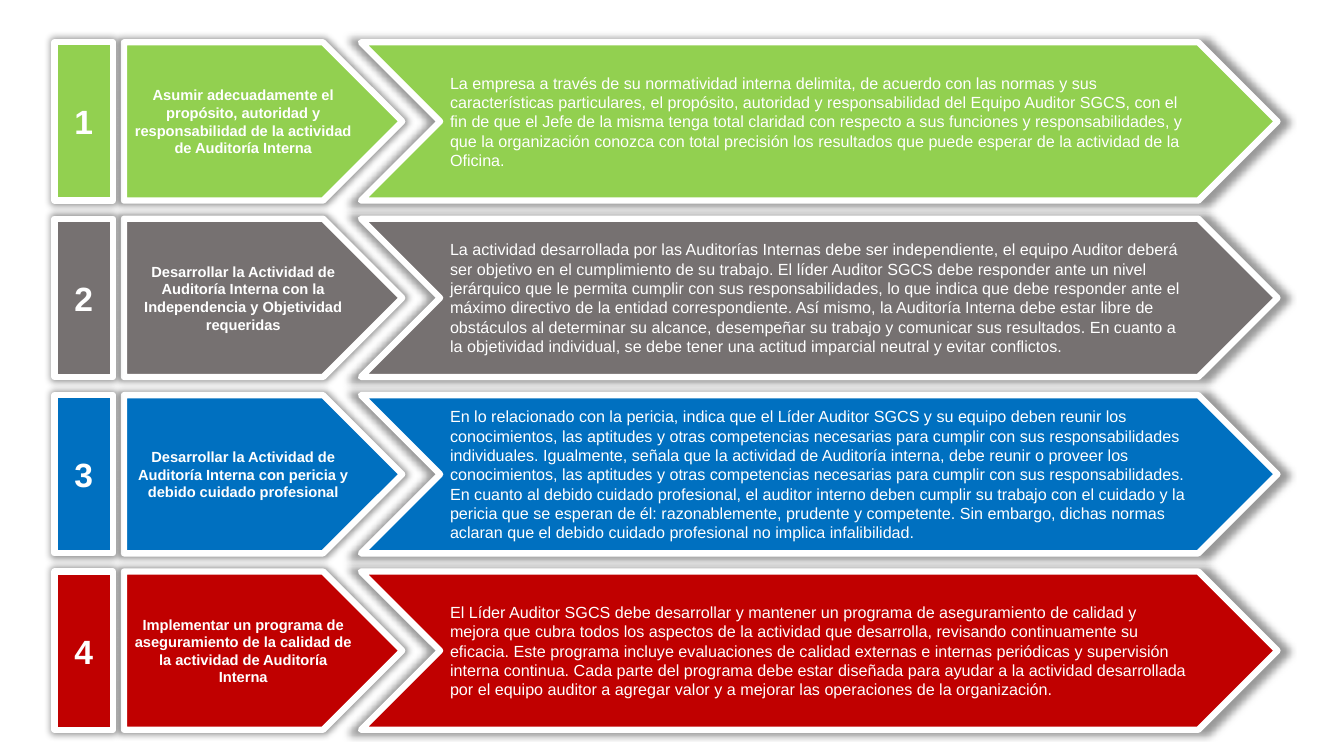
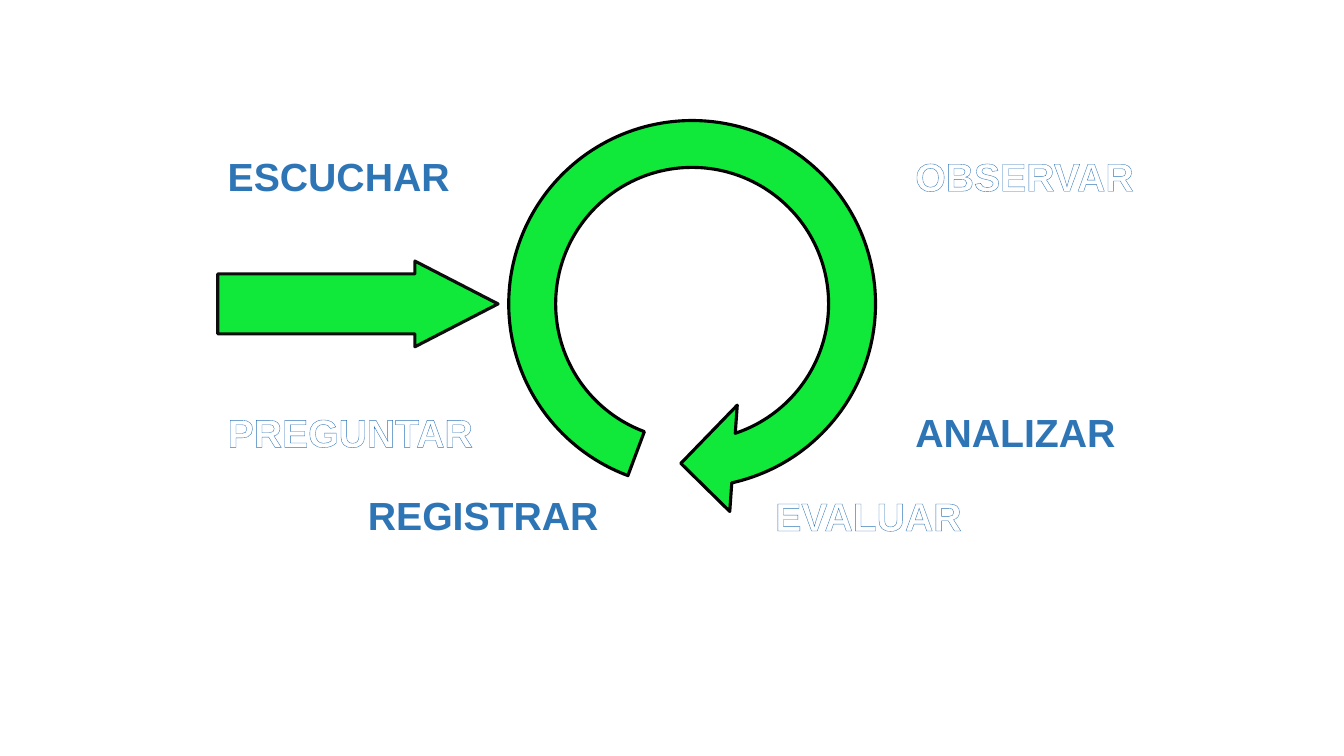
from dataclasses import dataclass

from lxml import etree
from pptx import Presentation
from pptx.dml.color import RGBColor
from pptx.enum.shapes import MSO_SHAPE
from pptx.enum.text import MSO_ANCHOR, MSO_AUTO_SIZE, PP_ALIGN
from pptx.oxml.ns import qn
from pptx.util import Emu, Pt

RECTANGLE, PENTAGON, CHEVRON = MSO_SHAPE.RECTANGLE, MSO_SHAPE.PENTAGON, MSO_SHAPE.CHEVRON
RIGHT_ARROW, CIRCULAR_ARROW = MSO_SHAPE.RIGHT_ARROW, MSO_SHAPE.CIRCULAR_ARROW
LEFT, CENTER = PP_ALIGN.LEFT, PP_ALIGN.CENTER
TOP, MIDDLE = MSO_ANCHOR.TOP, MSO_ANCHOR.MIDDLE
FIT_SHAPE = MSO_AUTO_SIZE.SHAPE_TO_FIT_TEXT

# Shared style; lengths are px, 100 to the inch
EMU_PER_PX = 9144
FONT = "Arial"
WHITE, BLACK, NEAR_BLACK = "FFFFFF", "000000", "0D0D0D"
BLUE, GREEN = "2E75B6", "11E93A"

# Slide 1 layout
ROW_TOP, ROW_STEP, ROW_HEIGHT = 42, 175, 157

# Slide 2 layout
LABEL_WIDTH, LABEL_HEIGHT = 278, 57


@dataclass(frozen=True)
class Principle:
    color: str
    title: str
    description: str


@dataclass(frozen=True)
class Label:
    text: str
    left: int
    top: int
    outlined: bool = False


PRINCIPLES = [
    Principle(
        "92D050",
        "Asumir adecuadamente el propósito, autoridad y responsabilidad de la actividad "
        "de Auditoría Interna",
        "La empresa a través de su normatividad interna delimita, de acuerdo con las normas "
        "y sus características particulares, el propósito, autoridad y responsabilidad del "
        "Equipo Auditor SGCS, con el fin de que el Jefe de la misma tenga total claridad con "
        "respecto a sus funciones y responsabilidades, y que la organización conozca con total "
        "precisión los resultados que puede esperar de la actividad de la Oficina.",
    ),
    Principle(
        "767171",
        "Desarrollar la Actividad de Auditoría Interna con la Independencia y Objetividad "
        "requeridas",
        "La actividad desarrollada por las Auditorías Internas debe ser independiente, el "
        "equipo Auditor deberá ser objetivo en el cumplimiento de su trabajo. El líder Auditor "
        "SGCS debe responder ante un nivel jerárquico que le permita cumplir con sus "
        "responsabilidades, lo que indica que debe responder ante el máximo directivo de la "
        "entidad correspondiente. Así mismo, la Auditoría Interna debe estar libre de "
        "obstáculos al determinar su alcance, desempeñar su trabajo y comunicar sus resultados. "
        "En cuanto a la objetividad individual, se debe tener una actitud imparcial neutral y "
        "evitar conflictos.",
    ),
    Principle(
        "0070C0",
        "Desarrollar la Actividad de Auditoría Interna con pericia y debido cuidado profesional",
        "En lo relacionado con la pericia, indica que el Líder Auditor SGCS y su equipo deben "
        "reunir los conocimientos, las aptitudes y otras competencias necesarias para cumplir "
        "con sus responsabilidades individuales. Igualmente, señala que la actividad de "
        "Auditoría interna, debe reunir o proveer los conocimientos, las aptitudes y otras "
        "competencias necesarias para cumplir con sus responsabilidades. En cuanto al debido "
        "cuidado profesional, el auditor interno deben cumplir su trabajo con el cuidado y la "
        "pericia que se esperan de él: razonablemente, prudente y competente. Sin embargo, "
        "dichas normas aclaran que el debido cuidado profesional no implica infalibilidad.",
    ),
    Principle(
        "C00000",
        "Implementar un programa de aseguramiento de la calidad de la actividad de Auditoría "
        "Interna",
        "El Líder Auditor SGCS debe desarrollar y mantener un programa de aseguramiento de "
        "calidad y mejora que cubra todos los aspectos de la actividad que desarrolla, "
        "revisando continuamente su eficacia. Este programa incluye evaluaciones de calidad "
        "externas e internas periódicas y supervisión interna continua. Cada parte del programa "
        "debe estar diseñada para ayudar a la actividad desarrollada por el equipo auditor a "
        "agregar valor y a mejorar las operaciones de la organización.",
    ),
]

LABELS = [
    Label("ESCUCHAR", 216, 146),
    Label("PREGUNTAR", 216, 400, outlined=True),
    Label("OBSERVAR", 898, 146, outlined=True),
    Label("REGISTRAR", 355, 483),
    Label("EVALUAR", 759, 483, outlined=True),
    Label("ANALIZAR", 898, 400),
]


def px(length: int) -> Emu:
    return Emu(length * EMU_PER_PX)


def rgb(color: str) -> RGBColor:
    return RGBColor.from_string(color)


def add_color(parent, color: str, alpha: int = 100) -> None:
    element = etree.SubElement(parent, qn("a:srgbClr"), val=color)
    if alpha < 100:
        etree.SubElement(element, qn("a:alpha"), val=str(alpha * 1000))


def write_text(frame, text: str, *, size: float, color: str = WHITE, bold: bool = False,
               align=LEFT, anchor=TOP, outline: str = "") -> None:
    frame.word_wrap = True
    frame.vertical_anchor = anchor
    paragraph = frame.paragraphs[0]
    paragraph.alignment = align
    run = paragraph.add_run()
    run.text = text
    run.font.name = FONT
    run.font.size = Pt(size)
    run.font.bold = bold
    run.font.color.rgb = rgb(color)
    if outline:
        line = etree.Element(qn("a:ln"), w=str(Pt(1.5)))
        add_color(etree.SubElement(line, qn("a:solidFill")), outline)
        run.font._element.insert(0, line)


def add_figure(shapes, kind, left: int, top: int, width: int, height: int, *,
               fill: str, line: str, line_width: float):
    shape = shapes.add_shape(kind, px(left), px(top), px(width), px(height))
    shape.fill.solid()
    shape.fill.fore_color.rgb = rgb(fill)
    shape.line.color.rgb = rgb(line)
    shape.line.width = Pt(line_width)
    shape.shadow.inherit = False
    return shape


def add_glow_shadow(shape) -> None:
    effects = shape._element.spPr.find(qn("a:effectLst"))
    shadow = etree.SubElement(effects, qn("a:outerShdw"), blurRad=str(Pt(5)),
                              sx="102000", sy="102000", algn="ctr", rotWithShape="0")
    add_color(shadow, BLACK, alpha=40)


def add_principle(slide, number: int, principle: Principle) -> None:
    top = ROW_TOP + (number - 1) * ROW_STEP
    group = slide.shapes.add_group_shape()
    parts = [
        (PENTAGON, 123, 276, principle.title, dict(size=10.5, bold=True, align=CENTER)),
        (RECTANGLE, 54, 58, str(number), dict(size=24, bold=True, align=CENTER)),
        (CHEVRON, 358, 909, principle.description, dict(size=11.5)),
    ]
    for kind, left, width, text, text_format in parts:
        shape = add_figure(group.shapes, kind, left, top, width, ROW_HEIGHT,
                           fill=principle.color, line=WHITE, line_width=4.5)
        add_glow_shadow(shape)
        write_text(shape.text_frame, text, anchor=MIDDLE, **text_format)


def add_label(slide, label: Label) -> None:
    box = slide.shapes.add_textbox(px(label.left), px(label.top),
                                   px(LABEL_WIDTH), px(LABEL_HEIGHT))
    if label.outlined:
        box.fill.solid()
        box.fill.fore_color.rgb = rgb(WHITE)
    write_text(box.text_frame, label.text, size=28, bold=True,
               color=WHITE if label.outlined else BLUE,
               outline=BLUE if label.outlined else "")
    box.text_frame.auto_size = FIT_SHAPE


def add_arrow(slide, kind, left: int, top: int, width: int, height: int,
              line: str, adjustments: list[float]) -> None:
    arrow = add_figure(slide.shapes, kind, left, top, width, height,
                       fill=GREEN, line=line, line_width=2.25)
    for index, value in enumerate(adjustments):
        arrow.adjustments[index] = value


def build_principles_slide(slide) -> None:
    for number, principle in enumerate(PRINCIPLES, start=1):
        add_principle(slide, number, principle)


def build_cycle_slide(slide) -> None:
    add_arrow(slide, CIRCULAR_ARROW, 475, 90, 423, 423, BLACK, [0.11, 11.42, 45, 66.3, 0.125])
    add_arrow(slide, RIGHT_ARROW, 216, 259, 278, 85, NEAR_BLACK, [0.7, 0.97])
    for label in LABELS:
        add_label(slide, label)


def main() -> None:
    presentation = Presentation()
    presentation.slide_width, presentation.slide_height = px(1333), px(750)
    blank_layout = presentation.slide_layouts[6]
    for build in (build_principles_slide, build_cycle_slide):
        build(presentation.slides.add_slide(blank_layout))
    presentation.save("out.pptx")


if __name__ == "__main__":
    main()
